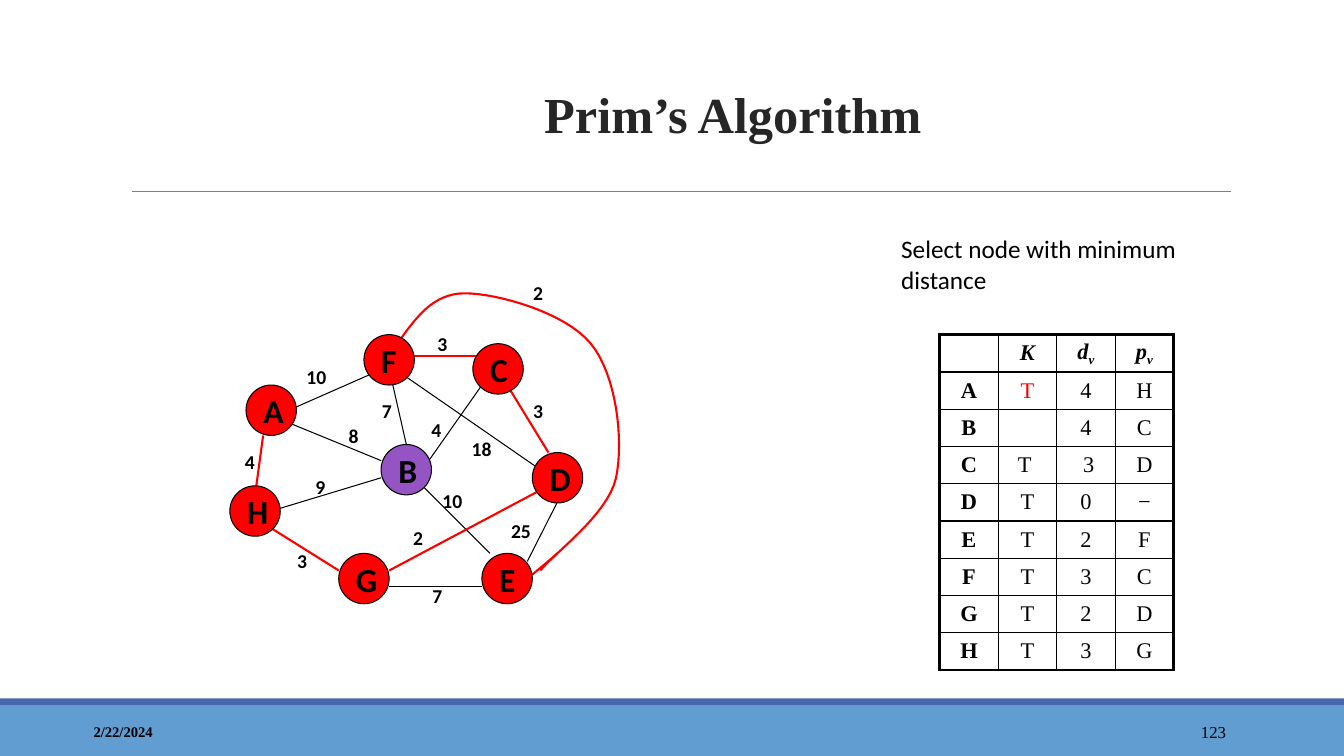
from lxml.etree import SubElement
from pptx import Presentation
from pptx.dml.color import RGBColor
from pptx.enum.shapes import MSO_CONNECTOR, MSO_SHAPE
from pptx.enum.text import MSO_ANCHOR, PP_ALIGN
from pptx.oxml.ns import qn
from pptx.util import Inches, Pt

BLACK = RGBColor(0x00, 0x00, 0x00)
RED = RGBColor(0xFF, 0x00, 0x00)
PURPLE = RGBColor(0x94, 0x54, 0xC3)
GRAY = RGBColor(0x7F, 0x7F, 0x7F)
TITLE_GRAY = RGBColor(0x26, 0x26, 0x26)
FOOTER_BLUE = RGBColor(0x62, 0x9D, 0xD1)
STRIPE_BLUE = RGBColor(0x4A, 0x66, 0xAC)
SERIF, SANS = "Times New Roman", "Calibri"

NODE_SIZE = 0.5
NODES = {  # left, top
    "A": (2.44, 3.82), "H": (2.28, 4.82), "B": (3.78, 4.41), "F": (3.61, 3.32),
    "E": (4.78, 5.49), "D": (5.28, 4.49), "C": (4.69, 3.41), "G": (3.36, 5.49),
}
EDGES = [  # x1, y1, x2, y2
    (5.65, 4.74, 5.23, 5.57), (3.86, 3.66, 4.03, 4.41), (4.19, 4.66, 4.78, 3.82),
    (5.36, 4.66, 4.03, 3.74), (2.69, 5.07, 3.78, 4.74), (2.78, 4.16, 3.78, 4.57),
    (4.19, 4.82, 4.86, 5.49), (4.78, 5.82, 3.86, 5.82), (2.91, 4.05, 3.66, 3.72),
]
TREE_EDGES = [
    (3.86, 5.66, 5.44, 4.82), (2.53, 4.91, 2.61, 4.32), (4.07, 3.53, 4.86, 3.53),
    (5.03, 3.82, 5.44, 4.49), (3.36, 5.66, 2.69, 5.24), (5.53, 5.49, 5.28, 5.7),
]
F_TO_E_CURVE = [
    [(3.94, 3.41), (4.12, 3.16), (4.29, 2.91), (4.61, 2.91)],
    [(4.61, 2.91), (4.93, 2.91), (5.61, 3.1), (5.86, 3.41)],
    [(5.86, 3.41), (6.11, 3.71), (6.19, 4.36), (6.11, 4.74)],
    [(6.11, 4.74), (6.03, 5.11), (5.48, 5.5), (5.36, 5.66)],
]
WEIGHTS = [  # text, left, top
    ("4", 2.33, 4.41), ("25", 4.97, 5.1), ("7", 4.19, 5.74), ("2", 4, 5.17),
    ("10", 4.29, 4.8), ("18", 4.58, 4.29), ("3", 5.19, 3.91), ("4", 4.18, 4.1),
    ("3", 4.24, 3.24), ("7", 3.69, 3.91), ("8", 3.36, 4.16), ("9", 3.03, 4.66),
    ("3", 2.85, 5.4), ("10", 2.94, 3.57), ("2", 5.19, 2.74),
]
HEADER = ["", "K", "dv", "pv"]  # a second letter is a subscript
ROWS = [
    ("A", "T", "4", "H"), ("B", "", "4", "C"), ("C", "T ", " 3", "D"),
    ("D", "T", "0", "−"), ("E", "T", "2", "F"), ("F", "T", "3", "C"),
    ("G", "T", "2", "D"), ("H", "T", "3", "G"),
]


def style(p, size, font=SANS, color=BLACK, bold=False, italic=False):
    p.font.size, p.font.name = Pt(size), font
    p.font.bold, p.font.italic = bold, italic
    p.font.color.rgb = color


def add_text(s, text, box, size, align=PP_ALIGN.LEFT, anchor=MSO_ANCHOR.TOP, **font):
    tf = s.shapes.add_textbox(*map(Inches, box)).text_frame
    tf.word_wrap, tf.vertical_anchor = True, anchor
    p = tf.paragraphs[0]
    p.text, p.alignment = text, align
    style(p, size, **font)
    return p


def add_bar(s, top, height, color):
    sp = s.shapes.add_shape(MSO_SHAPE.RECTANGLE, 0, Inches(top), Inches(13.33), Inches(height))
    sp.shadow.inherit = False
    sp.fill.solid()
    sp.fill.fore_color.rgb = color
    sp.line.fill.background()


def add_line(s, ends, color=BLACK, width=0.75):
    line = s.shapes.add_connector(MSO_CONNECTOR.STRAIGHT, *map(Inches, ends))
    line.line.color.rgb, line.line.width = color, Pt(width)
    SubElement(line._element.spPr, qn("a:effectLst"))


def bezier_points(ends, steps=16):
    """Return points along one cubic curve, without its start."""
    a, b, c, d = ends
    points = []
    for i in range(1, steps + 1):
        t = i / steps
        weights = ((1 - t) ** 3, 3 * t * (1 - t) ** 2, 3 * t * t * (1 - t), t ** 3)
        points.append(tuple(
            Inches(sum(w * v for w, v in zip(weights, axis))) for axis in zip(a, b, c, d)))
    return points


def add_curve(s, segments):
    builder = s.shapes.build_freeform(*map(Inches, segments[0][0]))
    for segment in segments:
        builder.add_line_segments(bezier_points(segment), close=False)
    sp = builder.convert_to_shape()
    sp.shadow.inherit = False
    sp.fill.background()
    sp.line.color.rgb, sp.line.width = RED, Pt(1.5)


def add_node(s, name, left, top):
    sp = s.shapes.add_shape(MSO_SHAPE.OVAL, *map(Inches, (left, top, NODE_SIZE, NODE_SIZE)))
    sp.shadow.inherit = False
    sp.fill.solid()
    sp.fill.fore_color.rgb = PURPLE if name == "B" else RED
    sp.line.color.rgb, sp.line.width = BLACK, Pt(0.75)
    p = sp.text_frame.paragraphs[0]
    p.text, p.alignment = name, PP_ALIGN.LEFT
    style(p, 24, bold=True)


def set_borders(cell, outer):
    """Draw four borders, thick on the sides named in outer."""
    tcPr = cell._tc.get_or_add_tcPr()
    for side in "LRTB":
        ln = SubElement(tcPr, qn(f"a:ln{side}"), w=str(Pt(2.25 if side in outer else 1)))
        fill = SubElement(ln, qn("a:solidFill"))
        SubElement(fill, qn("a:srgbClr"), val=str(BLACK))


def fill_cell(cell, text, **font):
    cell.margin_top = cell.margin_bottom = Inches(0.02)
    cell.vertical_anchor = MSO_ANCHOR.MIDDLE
    cell.fill.background()
    p = cell.text_frame.paragraphs[0]
    p.alignment = PP_ALIGN.CENTER
    style(p, 16, SERIF, **font)
    return p


def add_distance_table(s):
    rows = [HEADER, *ROWS]
    col_width, row_height = 0.58, 0.37
    box = (9.32, 3.32, col_width * len(HEADER), row_height * len(rows))
    table = s.shapes.add_table(len(rows), len(HEADER), *map(Inches, box)).table
    table.first_row = table.horz_banding = False
    for i, row in enumerate(rows):
        for j, text in enumerate(row):
            cell = table.cell(i, j)
            edges = {"T": i == 0, "B": i == len(rows) - 1,
                     "L": j == 0, "R": j == len(HEADER) - 1}
            set_borders(cell, [side for side, is_outer in edges.items() if is_outer])
            is_header = i == 0
            p = fill_cell(cell, text, color=RED if (i, j) == (1, 1) else BLACK,
                          bold=is_header or j == 0, italic=is_header)
            if not is_header:
                p.text = text
                continue
            for k, letter in enumerate(text):
                r = p.add_run()
                r.text = letter
                if k:
                    r._r.get_or_add_rPr().set("baseline", "-25000")


def main():
    prs = Presentation()
    prs.slide_width, prs.slide_height = Inches(13.33), Inches(7.5)
    s = prs.slides.add_slide(prs.slide_layouts[6])

    add_bar(s, 7, 0.5, FOOTER_BLUE)
    add_bar(s, 6.93, 0.07, STRIPE_BLUE)
    add_line(s, (1.31, 1.9, 12.21, 1.9), GRAY)
    add_text(s, "2/22/2024", (0.83, 7.06, 3, 0.4), 10.5,
             anchor=MSO_ANCHOR.MIDDLE, font=SERIF, bold=True)
    add_text(s, "123", (10.83, 7.06, 1.43, 0.4), 12, PP_ALIGN.RIGHT,
             MSO_ANCHOR.MIDDLE, font=SERIF)
    title = add_text(s, "Prim’s Algorithm", (1.77, 0.41, 11, 1.06), 36, PP_ALIGN.CENTER,
                     MSO_ANCHOR.BOTTOM, font=SERIF, color=TITLE_GRAY, bold=True)
    title.line_spacing = 1.1
    add_text(s, "Select node with minimum distance", (8.84, 2.27, 3.17, 0.77), 18)
    add_distance_table(s)

    add_curve(s, F_TO_E_CURVE)
    for ends in EDGES:
        add_line(s, ends)
    for ends in TREE_EDGES:
        add_line(s, ends, RED, 1.5)
    for name, (left, top) in NODES.items():
        add_node(s, name, left, top)
    for text, left, top in WEIGHTS:
        add_text(s, text, (left, top, 0.33 if len(text) == 1 else 0.52, 0.33), 14, bold=True)
    prs.save("out.pptx")


if __name__ == "__main__":
    main()
